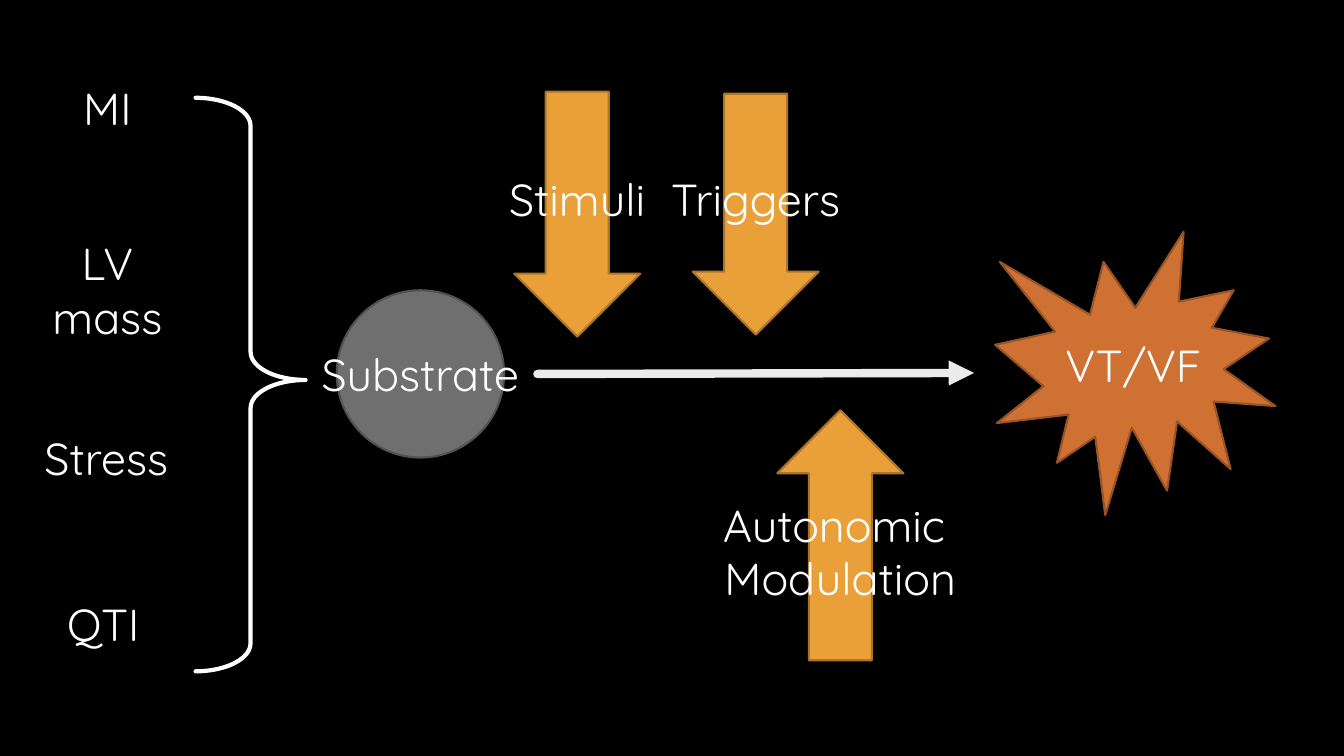
from dataclasses import dataclass

from pptx import Presentation
from pptx.dml.color import RGBColor
from pptx.enum.shapes import MSO_CONNECTOR, MSO_SHAPE as Preset
from pptx.enum.text import MSO_ANCHOR as Anchor, PP_ALIGN as Align
from pptx.oxml.ns import qn
from pptx.oxml.xmlchemy import OxmlElement
from pptx.shapes.autoshape import Shape
from pptx.slide import Slide
from pptx.util import Inches, Pt

FONT = "Quicksand"
BLACK = RGBColor(0x00, 0x00, 0x00)
WHITE = RGBColor(0xFF, 0xFF, 0xFF)
PALE = RGBColor(0xEB, 0xEB, 0xEB)
GRAY = RGBColor(0x6F, 0x6F, 0x6F)
DARK_GRAY = RGBColor(0x52, 0x52, 0x52)
AMBER = RGBColor(0xE9, 0xA0, 0x39)
DARK_AMBER = RGBColor(0xAC, 0x76, 0x2A)
RUST = RGBColor(0xCF, 0x71, 0x33)
DARK_RUST = RGBColor(0x99, 0x54, 0x26)

FACTOR_SIZE = 1.39
ARROW_WIDTH = 1.25


@dataclass(frozen=True)
class Node:
    lines: tuple[str, ...]
    preset: Preset
    left: float
    top: float
    width: float
    height: float
    fill: RGBColor
    outline: RGBColor


def factor(left: float, top: float, *lines: str) -> Node:
    return Node(lines, Preset.RECTANGLE, left, top, FACTOR_SIZE, FACTOR_SIZE, BLACK, BLACK)


def influence(preset: Preset, left: float, top: float, height: float, *lines: str) -> Node:
    return Node(lines, preset, left, top, ARROW_WIDTH, height, AMBER, DARK_AMBER)


NODES = (
    Node(("Substrate",), Preset.OVAL, 3.34, 2.88, 1.66, 1.66, GRAY, DARK_GRAY),
    Node(("VT/VF",), Preset.EXPLOSION1, 9.87, 2.3, 2.78, 2.81, RUST, DARK_RUST),
    influence(Preset.UP_ARROW, 7.71, 4.07, 2.48, "Autonomic ", "Modulation"),
    influence(Preset.DOWN_ARROW, 5.1, 0.91, 2.43, "Stimuli"),
    influence(Preset.DOWN_ARROW, 6.87, 0.93, 2.39, "Triggers"),
    factor(0.37, 0.37, "MI"),
    factor(0.37, 2.18, "LV", "mass"),
    factor(0.36, 3.84, "Stress"),
    factor(0.33, 5.49, "QTI"),
)


def write_label(shape: Shape, lines: tuple[str, ...]) -> None:
    frame = shape.text_frame
    frame.word_wrap = False
    frame.vertical_anchor = Anchor.MIDDLE
    for index, line in enumerate(lines):
        paragraph = frame.add_paragraph() if index else frame.paragraphs[0]
        paragraph.alignment = Align.CENTER
        run = paragraph.add_run()
        run.text = line
        run.font.name = FONT
        run.font.size = Pt(32)
        run.font.color.rgb = WHITE


def draw_node(slide: Slide, node: Node) -> None:
    shape = slide.shapes.add_shape(
        node.preset, Inches(node.left), Inches(node.top), Inches(node.width), Inches(node.height)
    )
    shape.shadow.inherit = False
    shape.fill.solid()
    shape.fill.fore_color.rgb = node.fill
    shape.line.color.rgb = node.outline
    shape.line.width = Pt(1.5)
    write_label(shape, node.lines)


def draw_brace(slide: Slide) -> None:
    brace = slide.shapes.add_shape(
        Preset.RIGHT_BRACE, Inches(1.94), Inches(0.97), Inches(1.09), Inches(5.69)
    )
    brace.adjustments[0] = 0.255
    brace.adjustments[1] = 0.492
    brace.shadow.inherit = False
    brace.fill.background()
    brace.line.color.rgb = WHITE
    brace.line.width = Pt(3)
    brace._element.spPr.find(qn("a:ln")).set("cap", "rnd")


def draw_progression(slide: Slide) -> None:
    """Draw the long arrow from the substrate to VT/VF."""
    progression = slide.shapes.add_connector(
        MSO_CONNECTOR.STRAIGHT, Inches(5.33), Inches(3.71), Inches(9.66), Inches(3.7)
    )
    progression.line.color.rgb = PALE
    progression.line.width = Pt(6)
    properties = progression._element.spPr
    stroke = properties.find(qn("a:ln"))
    stroke.set("cap", "rnd")
    head = OxmlElement("a:tailEnd")
    head.set("type", "triangle")
    stroke.append(head)
    properties.append(OxmlElement("a:effectLst"))


def main() -> None:
    deck = Presentation()
    deck.slide_width = Inches(13.33)
    deck.slide_height = Inches(7.5)
    slide = deck.slides.add_slide(deck.slide_layouts[6])
    slide.background.fill.solid()
    slide.background.fill.fore_color.rgb = BLACK
    for node in NODES:
        draw_node(slide, node)
    draw_brace(slide)
    draw_progression(slide)
    deck.save("out.pptx")


if __name__ == "__main__":
    main()
